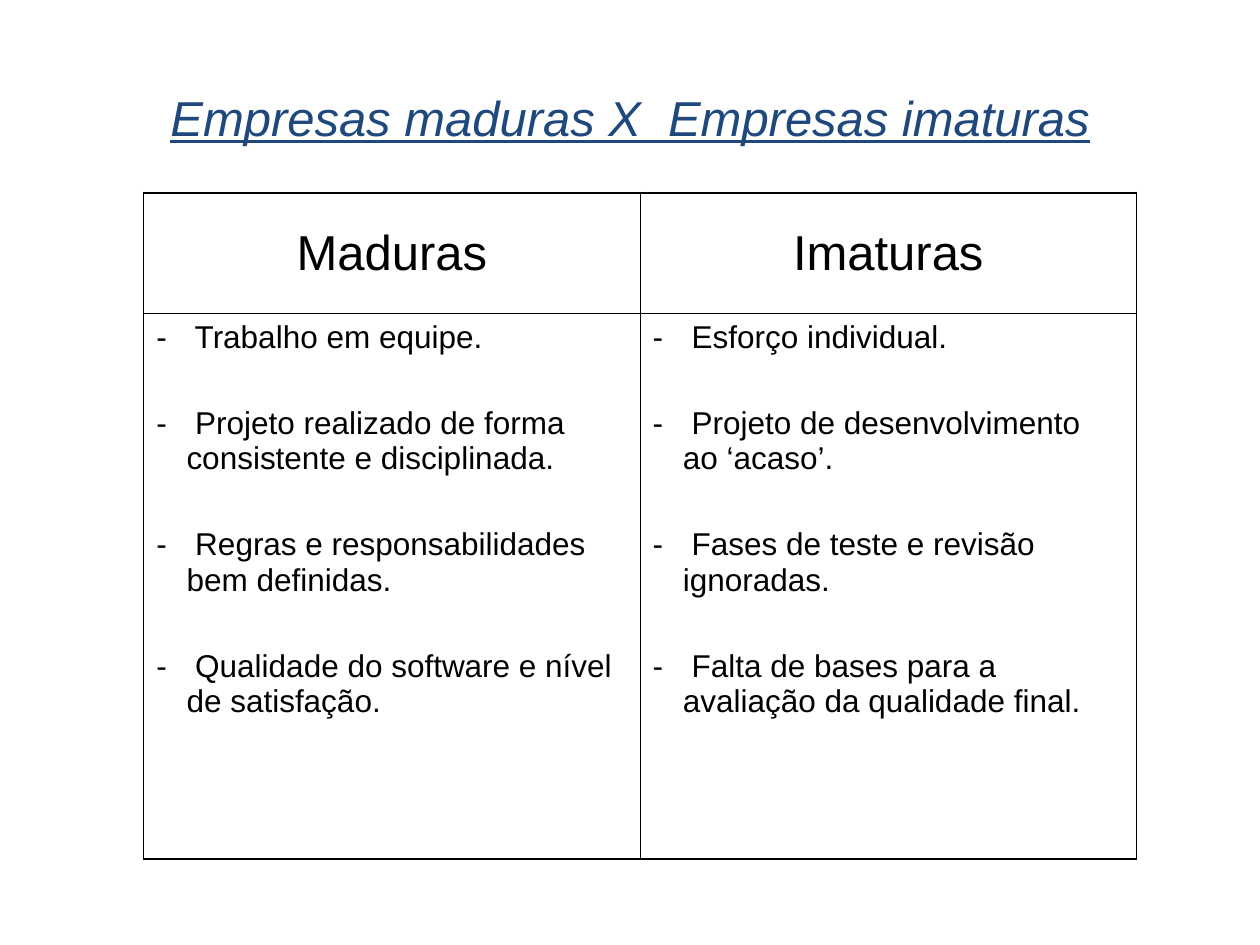
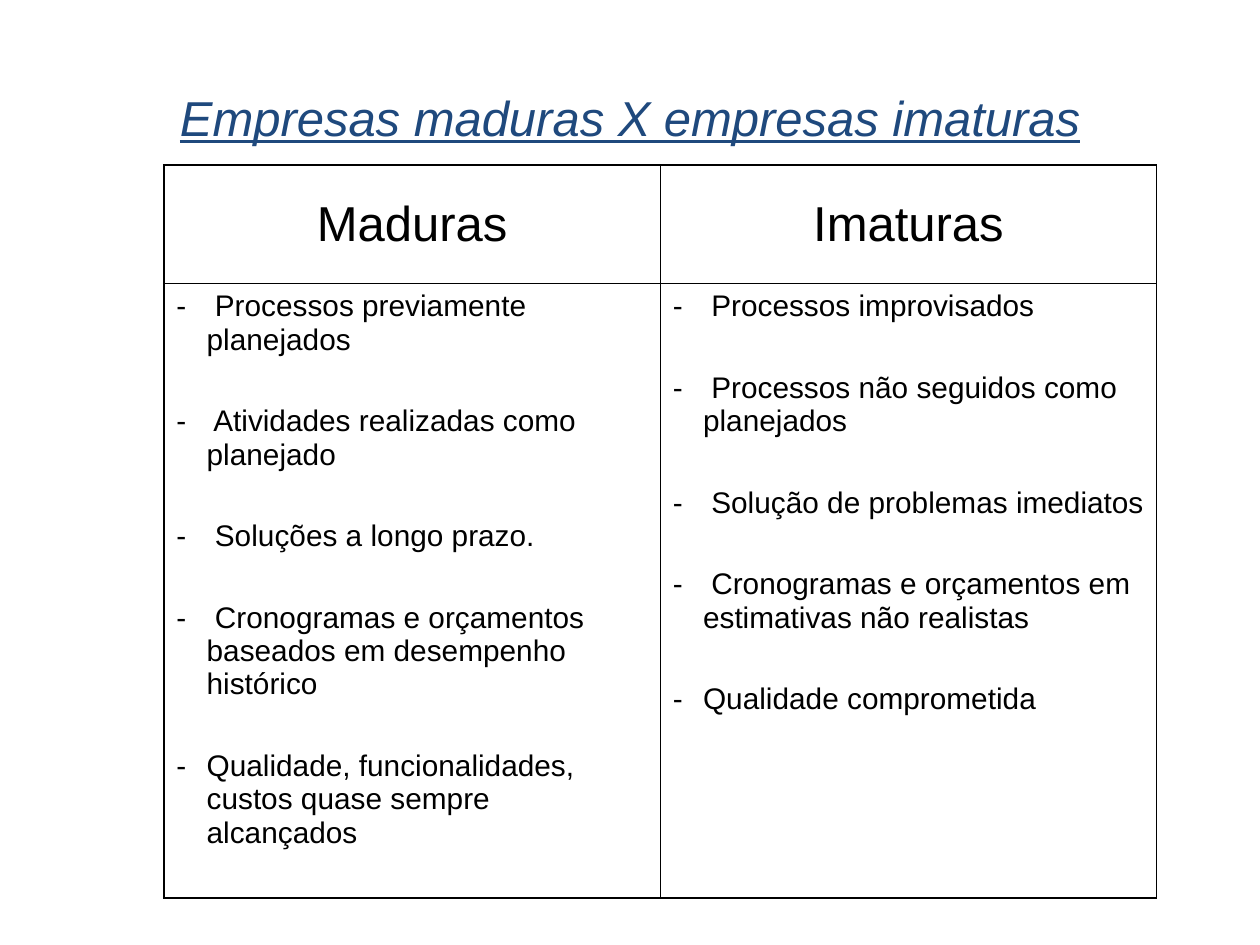
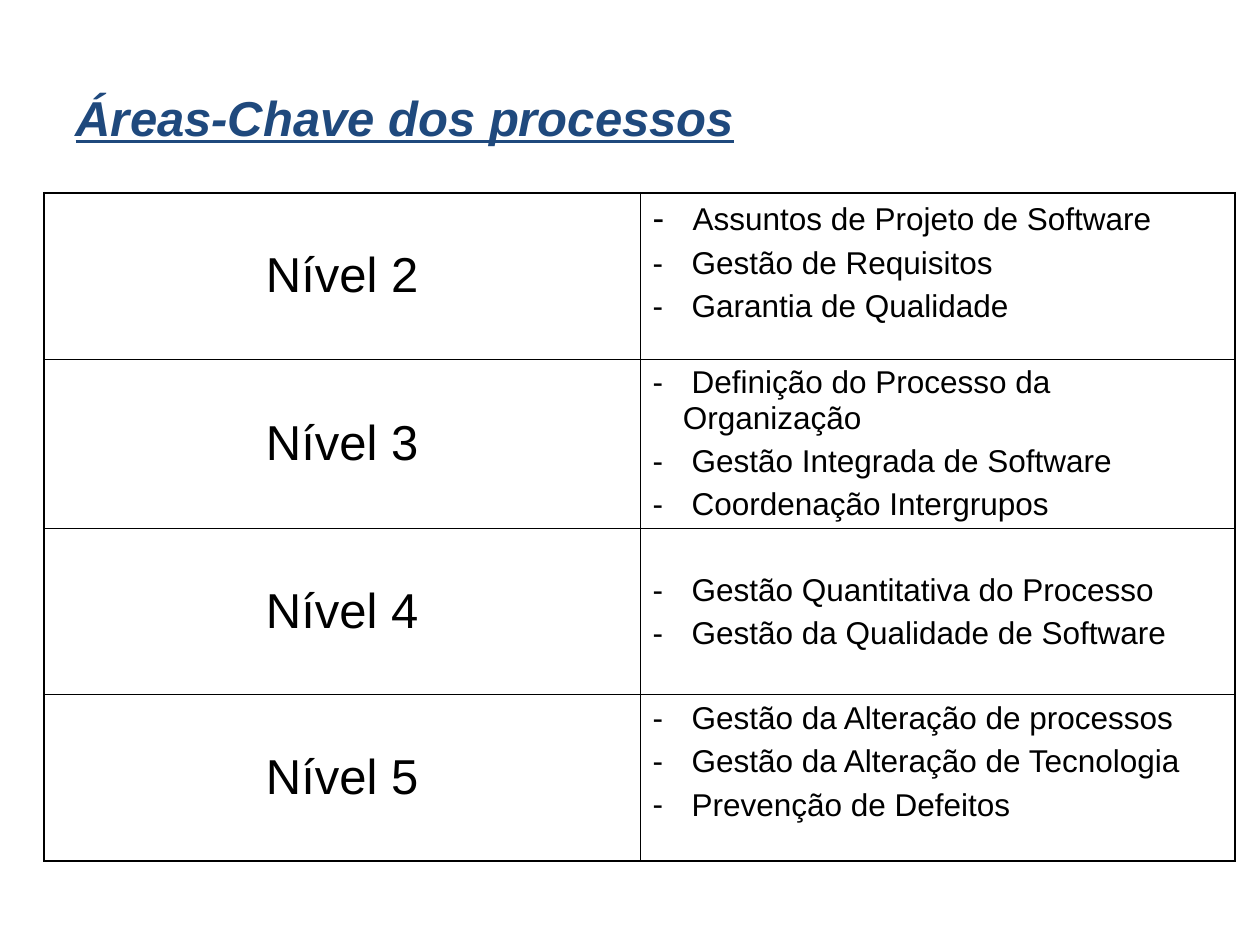
"""Builds three slides comparing mature and immature companies and listing key process areas."""
from lxml.etree import SubElement
from pptx import Presentation
from pptx.dml.color import RGBColor
from pptx.enum.text import MSO_ANCHOR, PP_ALIGN
from pptx.oxml.ns import qn
from pptx.util import Inches, Pt

FONT = "Arial"
BLUE = RGBColor(0x1F, 0x49, 0x7D)
BLACK = RGBColor(0, 0, 0)
OUTER, INNER = Pt(1.08), Pt(0.45)
HEAD_SIZE = 28
INDENT = Inches(0.24)

SLIDES = [
    {
        "title": "Empresas maduras X  Empresas imaturas",
        "align": PP_ALIGN.CENTER, "bold": False,
        "at": (1.14, 1.53), "cols": [3.94] * 2, "rows": [0.96, 4.33],
        "size": 18, "gap": 29, "middle": [],
        "cells": [
            ["Maduras", "Imaturas"],
            [
                [
                    " Trabalho em equipe.",
                    " Projeto realizado de forma consistente e disciplinada.",
                    " Regras e responsabilidades bem definidas.",
                    " Qualidade do software e nível de satisfação.",
                ],
                [
                    " Esforço individual.",
                    " Projeto de desenvolvimento ao ‘acaso’.",
                    " Fases de teste e revisão ignoradas.",
                    " Falta de bases para a avaliação da qualidade final.",
                ],
            ],
        ],
    },
    {
        "title": "Empresas maduras X empresas imaturas",
        "align": PP_ALIGN.CENTER, "bold": False,
        "at": (1.3, 1.31), "cols": [3.94] * 2, "rows": [0.94, 4.88],
        "size": 17, "gap": 27.5, "middle": [],
        "cells": [
            ["Maduras", "Imaturas"],
            [
                [
                    " Processos previamente planejados",
                    " Atividades realizadas como planejado",
                    " Soluções a longo prazo.",
                    " Cronogramas e orçamentos baseados em desempenho histórico",
                    "Qualidade, funcionalidades, custos quase sempre alcançados",
                ],
                [
                    " Processos improvisados",
                    " Processos não seguidos como planejados",
                    " Solução de problemas imediatos",
                    " Cronogramas e orçamentos em estimativas não realistas",
                    "Qualidade comprometida",
                ],
            ],
        ],
    },
    {
        "title": "Áreas-Chave dos processos",
        "align": PP_ALIGN.LEFT, "bold": True,
        "at": (0.35, 1.53), "cols": [4.73, 4.72], "rows": [1.32] * 4,
        "size": 18, "gap": 4.5, "middle": ["Nível 4"],
        "cells": [
            ["Nível 2", [
                [(" ", 20), ("Assuntos de Projeto de Software", 18)],
                " Gestão de Requisitos",
                " Garantia de Qualidade",
            ]],
            ["Nível 3", [
                " Definição do Processo da Organização",
                " Gestão Integrada de Software",
                " Coordenação Intergrupos",
            ]],
            ["Nível 4", [
                " Gestão Quantitativa do Processo",
                " Gestão da Qualidade de Software",
            ]],
            ["Nível 5", [
                " Gestão da Alteração de processos",
                " Gestão da Alteração de Tecnologia",
                " Prevenção de Defeitos",
            ]],
        ],
    },
]


def add_run(p, text, size, color):
    r = p.add_run()
    r.text = text
    r.font.name, r.font.size = FONT, Pt(size)
    r.font.color.rgb = color
    return r


def set_borders(cell, outer_edges):
    tcPr = cell._tc.get_or_add_tcPr()
    for side, is_outer in zip("LRTB", outer_edges):
        ln = SubElement(tcPr, qn(f"a:ln{side}"), w=str(OUTER if is_outer else INNER))
        fill = SubElement(ln, qn("a:solidFill"))
        SubElement(fill, qn("a:srgbClr"), val=str(BLACK))


prs = Presentation()
prs.slide_width, prs.slide_height = Inches(10), Inches(7.5)

for spec_data in SLIDES:
    s = prs.slides.add_slide(prs.slide_layouts[5])
    title = s.shapes.title
    title.left, title.top = Inches(0.5), Inches(0.3)
    title.width, title.height = Inches(9), Inches(1.25)
    title.text_frame.vertical_anchor = MSO_ANCHOR.MIDDLE
    p = title.text_frame.paragraphs[0]
    p.alignment = spec_data["align"]
    r = add_run(p, spec_data["title"], HEAD_SIZE, BLUE)
    r.font.bold, r.font.italic, r.font.underline = spec_data["bold"], True, True

    cols, rows = spec_data["cols"], spec_data["rows"]
    left, top = spec_data["at"]
    tbl = s.shapes.add_table(len(rows), len(cols), Inches(left), Inches(top),
                             Inches(sum(cols)), Inches(sum(rows))).table
    tbl.first_row = tbl.horz_banding = False
    for col, width in zip(tbl.columns, cols):
        col.width = Inches(width)
    for row, height in zip(tbl.rows, rows):
        row.height = Inches(height)

    for i, row in enumerate(spec_data["cells"]):
        for j, content in enumerate(row):
            cell = tbl.cell(i, j)
            set_borders(cell, (j == 0, j == len(cols) - 1, i == 0, i == len(rows) - 1))
            cell.fill.background()
            cell.margin_left = cell.margin_right = Inches(0.1)
            cell.margin_top = cell.margin_bottom = Inches(0.05)
            is_head = isinstance(content, str)
            centred = is_head or row[0] in spec_data["middle"]
            cell.vertical_anchor = MSO_ANCHOR.MIDDLE if centred else MSO_ANCHOR.TOP
            tf = cell.text_frame
            if is_head:
                p = tf.paragraphs[0]
                p.alignment = PP_ALIGN.CENTER
                add_run(p, content, HEAD_SIZE, BLACK)
                continue
            for k, item in enumerate(content):
                p = tf.add_paragraph() if k else tf.paragraphs[0]
                pPr = p._p.get_or_add_pPr()
                pPr.set("marL", str(INDENT))
                pPr.set("indent", str(-INDENT))
                SubElement(pPr, qn("a:buFont"), typeface=FONT)
                SubElement(pPr, qn("a:buChar"), char="-")
                if k:
                    p.space_before = Pt(spec_data["gap"])
                runs = [(item, spec_data["size"])] if isinstance(item, str) else item
                for text, size in runs:
                    add_run(p, text, size, BLACK)

prs.save("out.pptx")
